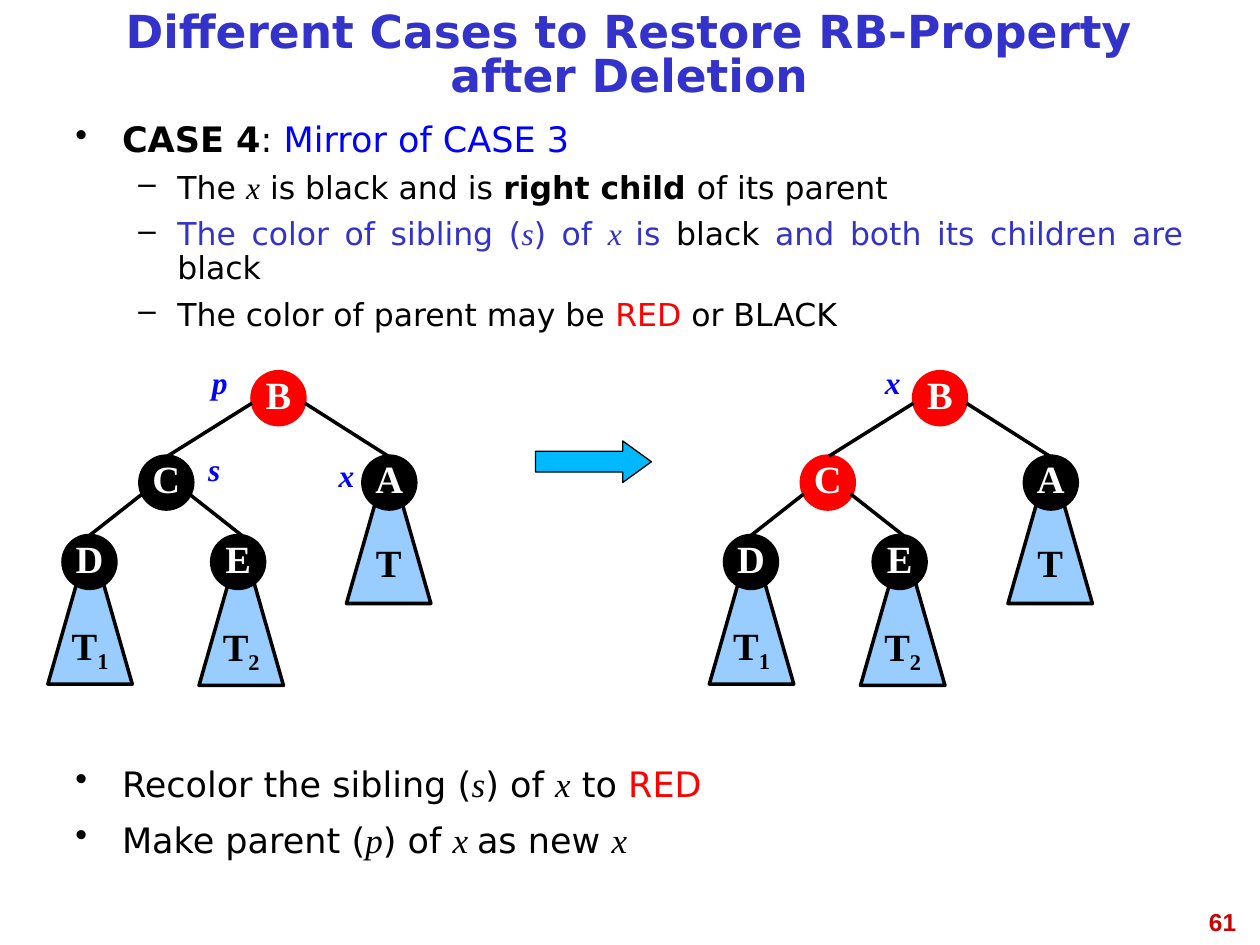
"""Builds a slide on case 4 of restoring red-black properties after deletion."""
from lxml import etree
from pptx import Presentation
from pptx.dml.color import RGBColor
from pptx.enum.shapes import MSO_CONNECTOR, MSO_SHAPE
from pptx.enum.text import MSO_ANCHOR, PP_ALIGN
from pptx.oxml.ns import qn
from pptx.util import Inches, Pt

ELLIPSE, TRIANGLE = MSO_SHAPE.OVAL, MSO_SHAPE.ISOSCELES_TRIANGLE
ARROW, STRAIGHT = MSO_SHAPE.RIGHT_ARROW, MSO_CONNECTOR.STRAIGHT
TOP, MIDDLE = MSO_ANCHOR.TOP, MSO_ANCHOR.MIDDLE
CENTER, RIGHT, JUSTIFY = PP_ALIGN.CENTER, PP_ALIGN.RIGHT, PP_ALIGN.JUSTIFY

BLACK, WHITE, RED, BLUE, INDIGO = "000000", "FFFFFF", "FF0000", "0000FF", "3333CC"
SKY, PALE_BLUE, CRIMSON = "00B8FF", "99CCFF", "CC0000"
SANS, SERIF = "DejaVu Sans", "Times New Roman"

BODY = {"name": SANS, "size": Pt(20), "color": BLACK}
SUB_BODY = {**BODY, "size": Pt(18)}
TITLE = {"name": SANS, "size": Pt(26), "bold": True, "color": INDIGO}
PAGE = {"name": "Arial", "size": Pt(14), "bold": True, "color": CRIMSON}
LABEL = {"name": SERIF, "size": Pt(18), "bold": True, "italic": True, "color": BLUE}
NODE = {"name": SERIF, "size": Pt(22), "bold": True, "color": WHITE}
SUBTREE = {**NODE, "color": BLACK}
VARIABLE = {"name": SERIF, "italic": True}
BOLD = {"bold": True}

CASE_LINES = [
    (0, [("CASE 4", BOLD), (": ", {}), ("Mirror of CASE 3", {"color": BLUE})]),
    (1, [("The ", {}), ("x", VARIABLE), (" is black and is ", {}),
         ("right child ", BOLD), ("of its parent", {})]),
    (1, [("The color of sibling (", {"color": INDIGO}),
         ("s", {**VARIABLE, "color": INDIGO}), (") of ", {"color": INDIGO}),
         ("x ", {**VARIABLE, "color": INDIGO}), ("is ", {"color": INDIGO}),
         ("black", {}), (" and both its children are ", {"color": INDIGO}),
         ("black", {})]),
    (1, [("The color of parent may be ", {}), ("RED", {"color": RED}),
         (" or BLACK", {})]),
]
ACTION_LINES = [
    (0, [("Recolor the sibling (", {}), ("s", VARIABLE), (") of ", {}),
         ("x", VARIABLE), (" to ", {}), ("RED", {"color": RED})]),
    (0, [("Make parent (", {}), ("p", VARIABLE), (") of ", {}),
         ("x ", VARIABLE), ("as new ", {}), ("x", VARIABLE)]),
]
LEVELS = [
    {"style": BODY, "bullet": "•", "margin": 0.37, "hang": 0.37, "before": 8},
    {"style": SUB_BODY, "bullet": "–", "margin": 0.81, "hang": 0.31, "before": 7},
]
UPPER_NODES = {"B": (2, 2.95), "C": (1.11, 3.62)}
LOWER_NODES = {"A": (2.88, 3.62), "D": (0.5, 4.25), "E": (1.68, 4.25)}
EDGES = [(2.42, 3.2, 3.08, 3.62), (2, 3.2, 1.33, 3.62),
         (1.13, 3.92, 0.71, 4.25), (1.5, 3.92, 1.92, 4.25)]
SUBTREES = [("", 2.75, 3.62), ("1", 0.38, 4.26), ("2", 1.58, 4.27)]
LEFT_LABELS = [("p", 1.33, 2.83, 0.83), ("x", 2.5, 3.57, 0.5), ("s", 1.41, 3.52, 0.58)]
RIGHT_LABELS = [("x", 1.42, 2.83, 0.83)]
TREE_GAP = 5.25


def color(value):
    """Return the colour for a hex string."""
    return RGBColor.from_string(value)


class SlideBuilder:
    """Holds the line style and the current slide, and adds elements to it."""

    def __init__(self, slide, line_color=BLACK, line_width=2):
        """Keep the slide and the default line style."""
        self.slide = slide
        self.line_color = line_color
        self.line_width = line_width

    def run(self, paragraph, text, style, baseline=None):
        """Add a run with the given format values."""
        run = paragraph.add_run()
        run.text = text
        for key, value in style.items():
            if key == "color":
                run.font.color.rgb = color(value)
            else:
                setattr(run.font, key, value)
        if baseline:
            run.font._element.set("baseline", str(baseline))

    def textbox(self, left, top, width, height, anchor=TOP):
        """Add an empty wrapping text box and return its text frame."""
        shape = self.slide.shapes.add_textbox(*map(Inches, (left, top, width, height)))
        shape.text_frame.word_wrap = True
        shape.text_frame.vertical_anchor = anchor
        return shape.text_frame

    def line_of_text(self, box, text, style, alignment=CENTER, anchor=TOP, spacing=None):
        """Add a text box with one paragraph."""
        paragraph = self.textbox(*box, anchor).paragraphs[0]
        paragraph.alignment = alignment
        paragraph.line_spacing = spacing
        self.run(paragraph, text, style)

    def bullets(self, box, lines, spacing=None):
        """Add a text box of bulleted paragraphs."""
        frame = self.textbox(*box)
        for index, (level, runs) in enumerate(lines):
            paragraph = frame.add_paragraph() if index else frame.paragraphs[0]
            form = LEVELS[level]
            properties = paragraph._p.get_or_add_pPr()
            properties.set("marL", str(Inches(form["margin"])))
            properties.set("indent", str(-Inches(form["hang"])))
            bullet_color = etree.SubElement(properties, qn("a:buClr"))
            etree.SubElement(bullet_color, qn("a:srgbClr"), val=BLACK)
            etree.SubElement(properties, qn("a:buChar"), char=form["bullet"])
            values = {"level": level, "alignment": JUSTIFY, "line_spacing": spacing,
                      "space_before": Pt(form["before"] if index else 0)}
            for key, value in values.items():
                setattr(paragraph, key, value)
            for text, changes in runs:
                self.run(paragraph, text, {**form["style"], **changes})

    def shape(self, kind, box, fill, line=None, width=None):
        """Add a filled preset shape."""
        shape = self.slide.shapes.add_shape(kind, *map(Inches, box))
        shape.shadow.inherit = False
        shape.fill.solid()
        shape.fill.fore_color.rgb = color(fill)
        shape.line.color.rgb = color(line or self.line_color)
        shape.line.width = Pt(width or self.line_width)
        return shape

    def caption(self, shape, text, style, subscript=""):
        """Write centred text in a shape, with an optional subscript."""
        frame = shape.text_frame
        frame.word_wrap = False
        frame.vertical_anchor = MIDDLE
        paragraph = frame.paragraphs[0]
        paragraph.alignment = CENTER
        paragraph.line_spacing = 0.81
        self.run(paragraph, text, style)
        if subscript:
            self.run(paragraph, subscript, style, -25000)

    def node(self, name, left, top, fill):
        """Add a round tree node."""
        shape = self.shape(ELLIPSE, (left, top, 0.42, 0.42), fill, fill)
        self.caption(shape, name, NODE)

    def edge(self, *ends):
        """Add a straight tree edge."""
        connector = self.slide.shapes.add_connector(STRAIGHT, *map(Inches, ends))
        connector.line.color.rgb = color(self.line_color)
        connector.line.width = Pt(self.line_width)
        etree.SubElement(connector._element.spPr, qn("a:effectLst"))

    def tree(self, offset, red_nodes, labels):
        """Add a whole tree, moved right by the offset."""
        for name, (left, top) in UPPER_NODES.items():
            self.node(name, left + offset, top, RED if name in red_nodes else BLACK)
        for x1, y1, x2, y2 in EDGES:
            self.edge(x1 + offset, y1, x2 + offset, y2)
        for subscript, left, top in SUBTREES:
            shape = self.shape(TRIANGLE, (left + offset, top, 0.67, 1.17), PALE_BLUE)
            self.caption(shape, "T", SUBTREE, subscript)
        for text, left, top, width in labels:
            self.line_of_text((left + offset, top, width, 0.4), text, LABEL)
        for name, (left, top) in LOWER_NODES.items():
            self.node(name, left + offset, top, BLACK)


def main():
    """Build and save the presentation."""
    presentation = Presentation()
    presentation.slide_width, presentation.slide_height = Inches(10), Inches(7.5)
    builder = SlideBuilder(presentation.slides.add_slide(presentation.slide_layouts[6]))
    builder.line_of_text((7.58, 7.15, 2.33, 0.52), "61", PAGE, RIGHT)
    builder.line_of_text((0.5, 0.08, 8.99, 0.75),
                         "Different Cases to Restore RB-Property after Deletion",
                         TITLE, anchor=MIDDLE, spacing=0.81)
    builder.bullets((0.5, 0.92, 8.99, 1.92), CASE_LINES, 0.9)
    builder.bullets((0.5, 6, 8.99, 1.25), ACTION_LINES)
    arrow = builder.shape(ARROW, (4.25, 3.5, 0.92, 0.33), SKY, width=0.75)
    arrow.adjustments[1] = 0.69
    builder.tree(0, "B", LEFT_LABELS)
    builder.tree(TREE_GAP, "BC", RIGHT_LABELS)
    presentation.save("out.pptx")


if __name__ == "__main__":
    main()
